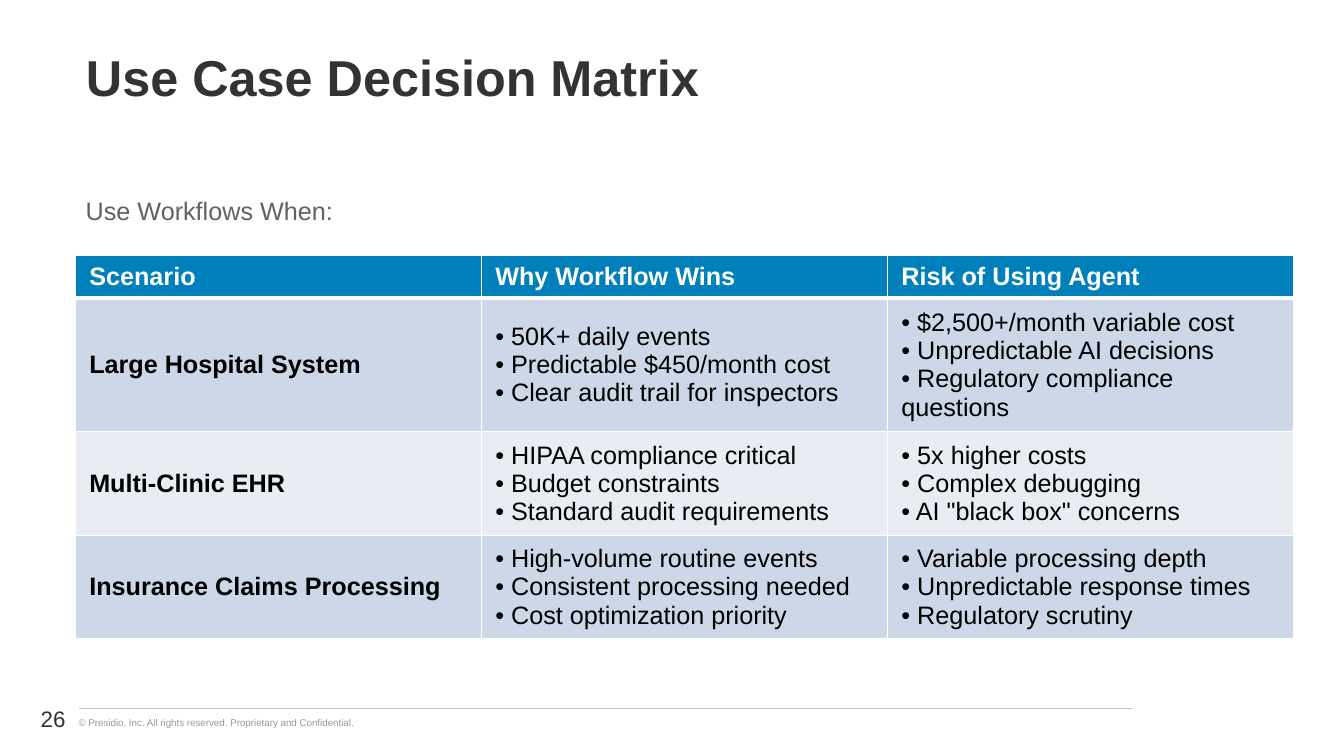
from lxml.etree import SubElement
from pptx import Presentation
from pptx.dml.color import RGBColor
from pptx.enum.shapes import MSO_CONNECTOR
from pptx.enum.text import MSO_ANCHOR, MSO_AUTO_SIZE, PP_ALIGN
from pptx.oxml.ns import qn
from pptx.util import Cm, Pt

COLORS = {
    "title": "333333", "subtitle": "616062", "footer": "989998",
    "rule": "BFBFBF", "header": "0080BA", "band_dark": "CCD8E7",
    "band_light": "E7EDF3", "white": "FFFFFF", "black": "000000",
}
HEADERS = ["Scenario", "Why Workflow Wins", "Risk of Using Agent"]
SCENARIOS = [
    ("Large Hospital System",
     ["50K+ daily events", "Predictable $450/month cost",
      "Clear audit trail for inspectors"],
     ["$2,500+/month variable cost", "Unpredictable AI decisions",
      "Regulatory compliance questions"]),
    ("Multi-Clinic EHR",
     ["HIPAA compliance critical", "Budget constraints",
      "Standard audit requirements"],
     ["5x higher costs", "Complex debugging", 'AI "black box" concerns']),
    ("Insurance Claims Processing",
     ["High-volume routine events", "Consistent processing needed",
      "Cost optimization priority"],
     ["Variable processing depth", "Unpredictable response times",
      "Regulatory scrutiny"]),
]
ROW_HEIGHTS = [1.03, 3.14, 2.46, 2.46]


def rgb(name):
    return RGBColor.from_string(COLORS[name])


def write(tf, lines, size, color, bold=False, align=PP_ALIGN.LEFT):
    for i, line in enumerate(lines):
        p = tf.paragraphs[0] if i == 0 else tf.add_paragraph()
        p.text = line
        p.alignment = align
        p.font.name, p.font.size, p.font.bold = "Arial", Pt(size), bold
        p.font.color.rgb = rgb(color)


def add_label(slide, box, text, size, color, align=PP_ALIGN.LEFT, wrap=True):
    tf = slide.shapes.add_textbox(*map(Cm, box)).text_frame
    tf.word_wrap = wrap
    tf.vertical_anchor = MSO_ANCHOR.MIDDLE
    write(tf, [text], size, color, align=align)


def add_title(slide, box, text):
    sp = slide.shapes.title
    sp.left, sp.top, sp.width, sp.height = map(Cm, box)
    tf = sp.text_frame
    tf.auto_size = MSO_AUTO_SIZE.NONE
    tf.word_wrap = True
    tf.vertical_anchor = MSO_ANCHOR.MIDDLE
    write(tf, [text], 36, "title", bold=True)
    tf.paragraphs[0].line_spacing = 0.9


def set_borders(cell, bottom):
    tcPr = cell._tc.get_or_add_tcPr()
    widths = {"a:lnL": 1, "a:lnR": 1, "a:lnT": 1, "a:lnB": bottom}
    for i, (tag, width) in enumerate(widths.items()):
        ln = SubElement(tcPr, qn(tag), w=str(Pt(width)))
        fill = SubElement(ln, qn("a:solidFill"))
        SubElement(fill, qn("a:srgbClr"), val=COLORS["white"])
        tcPr.insert(i, ln)  # borders come before the fill


def fill_cell(cell, lines, fill, color, bold, bottom=1):
    cell.fill.solid()
    cell.fill.fore_color.rgb = rgb(fill)
    cell.vertical_anchor = MSO_ANCHOR.MIDDLE
    cell.margin_left = cell.margin_right = Cm(0.34)
    cell.margin_top = cell.margin_bottom = Cm(0.16)
    write(cell.text_frame, lines, 18, color, bold)
    set_borders(cell, bottom)


def add_matrix(slide, left, top, width):
    table = slide.shapes.add_table(
        len(SCENARIOS) + 1, len(HEADERS), Cm(left), Cm(top),
        Cm(width), Cm(sum(ROW_HEIGHTS))).table
    for row, height in zip(table.rows, ROW_HEIGHTS):
        row.height = Cm(height)
    # Header row
    for col, header in enumerate(HEADERS):
        fill_cell(table.cell(0, col), [header], "header", "white", True, 3)
    # Scenario rows in alternating bands
    for row, (name, *reasons) in enumerate(SCENARIOS, 1):
        band = "band_dark" if row % 2 else "band_light"
        fill_cell(table.cell(row, 0), [name], band, "black", True)
        for col, items in enumerate(reasons, 1):
            bullets = [f"• {item}" for item in items]
            fill_cell(table.cell(row, col), bullets, band, "black", False)


def add_footer(slide, left, top, width):
    # Rule above the copyright line
    rule = slide.shapes.add_connector(
        MSO_CONNECTOR.STRAIGHT, Cm(left + 2), Cm(top + 0.25),
        Cm(left + width), Cm(top + 0.25))
    rule.line.color.rgb = rgb("rule")
    rule.line.width = Pt(0.75)
    SubElement(rule._element.spPr, qn("a:effectLst"))
    add_label(slide, (left + 1.73, top + 0.33, 7.57, 0.56),
              "© Presidio, Inc. All rights reserved. Proprietary and Confidential.",
              7, "footer", wrap=False)
    # Slide number
    add_label(slide, (left, top, 1.9, 1.02), "26", 16, "title", PP_ALIGN.RIGHT)


def main():
    prs = Presentation()
    prs.slide_width, prs.slide_height = Cm(33.87), Cm(19.05)
    slide = prs.slides.add_slide(prs.slide_layouts[5])
    add_title(slide, (1.91, 0.66, 30.7, 2.72), "Use Case Decision Matrix")
    add_label(slide, (1.91, 4.8, 6.93, 1.02), "Use Workflows When:", 18, "subtitle")
    add_matrix(slide, 1.91, 6.43, 30.7)
    add_footer(slide, 0, 17.6, 28.52)
    prs.save("out.pptx")


if __name__ == "__main__":
    main()
